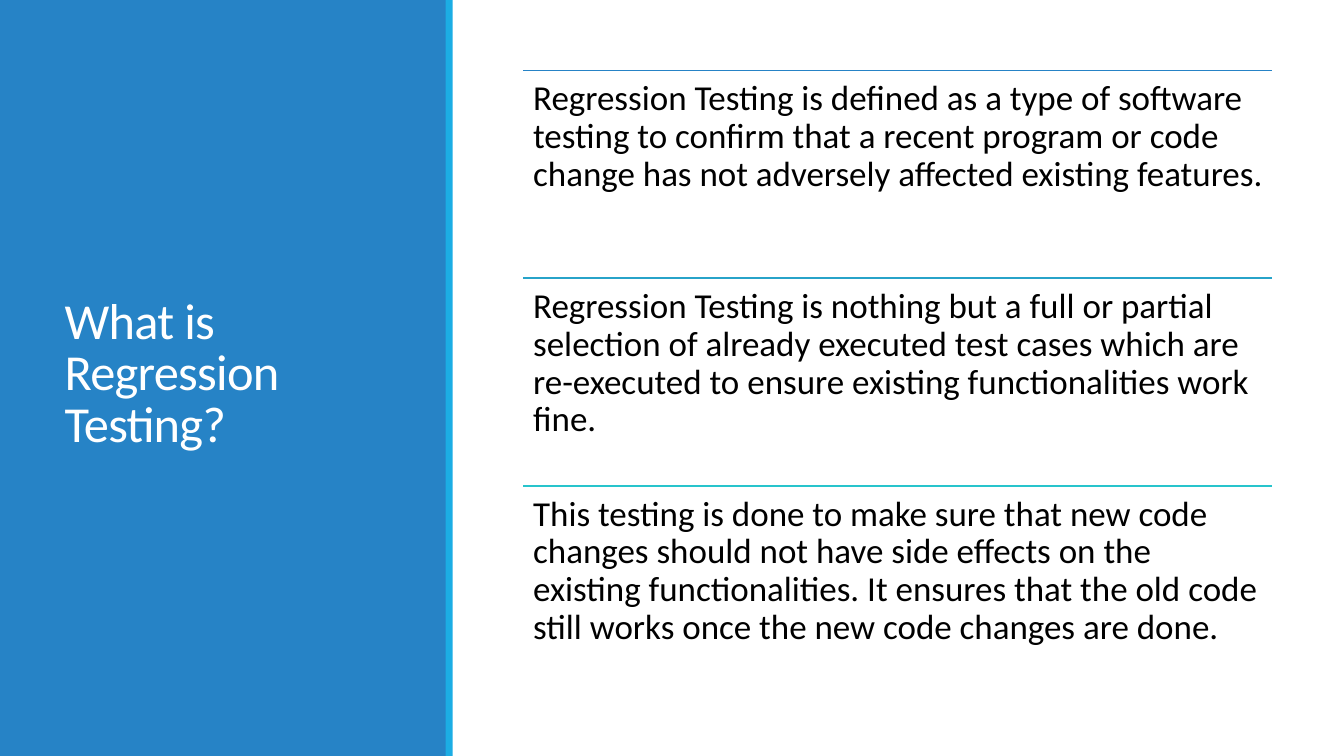
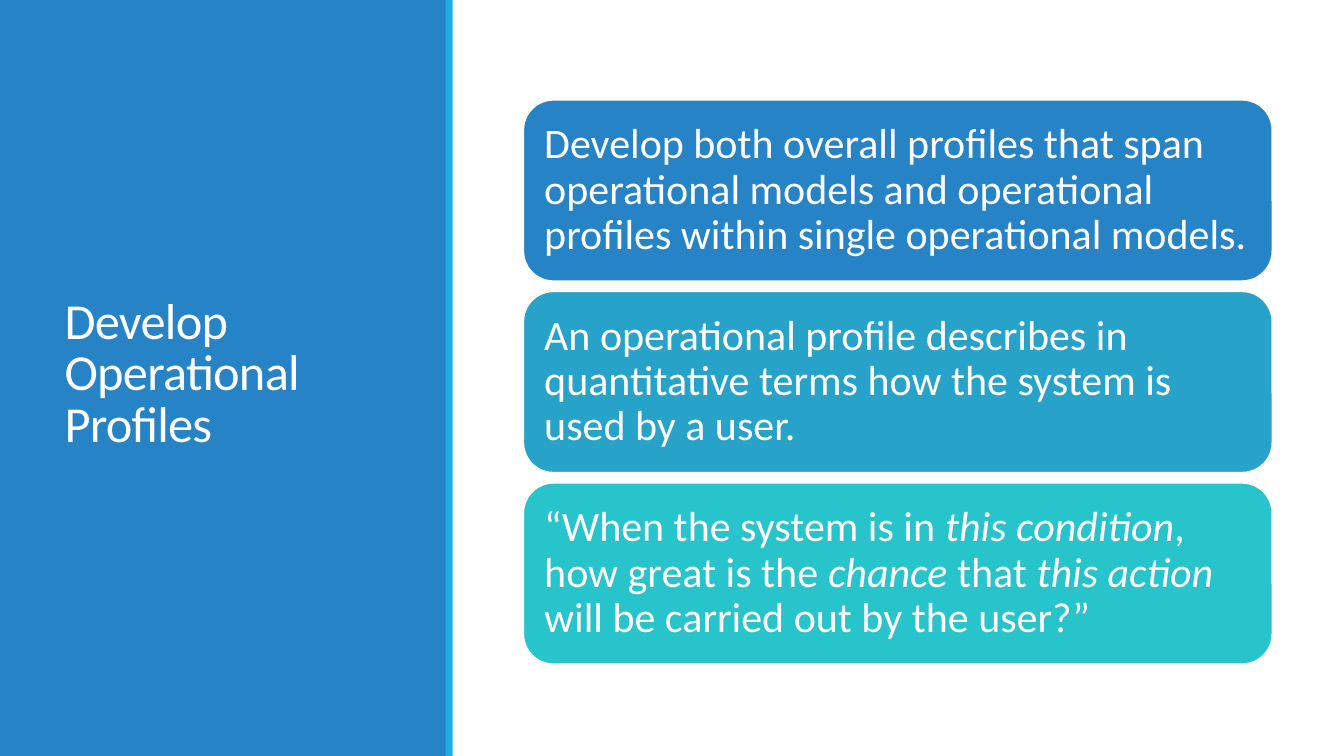
from dataclasses import dataclass

from lxml import etree
from pptx import Presentation
from pptx import util as u
from pptx.dml.color import RGBColor
from pptx.enum import shapes, text
from pptx.oxml.ns import qn


@dataclass(frozen=True)
class Theme:
    """Colours, font and type sizes of the deck."""
    font: str = "Calibri"
    panel: str = "2683C6"
    edge: str = "1CADE4"
    white: str = "FFFFFF"
    black: str = "000000"
    tints: tuple = ("2683C6", "27A3C9", "28C4CC")
    head: int = 36
    body: int = 25
    card: int = 30
    line: float = 1.25


class Deck:
    """Builds slides with a shared side panel and style."""

    LEFT, WIDTH = 5.19, 7.43

    def __init__(self, theme):
        """Start an empty wide deck."""
        self.theme = theme
        self.prs = Presentation()
        self.prs.slide_width = u.Inches(13.33)
        self.prs.slide_height = u.Inches(7.5)
        self.slide = None

    def start(self, title):
        """Add a slide with the side panel and its title."""
        t = self.theme
        self.slide = self.prs.slides.add_slide(self.prs.slide_layouts[5])
        self.block(0, 0, 4.43, 7.5, t.panel)
        edge = self.block(4.42, 0, 0.07, 7.5, t.edge)
        head = self.slide.shapes.title
        edge.element.addnext(head.element)
        head.left, head.top = u.Inches(0.54), u.Inches(0.57)
        head.width, head.height = u.Inches(3.37), u.Inches(6.31)
        self.label(head, title, t.head, t.white, 0.1, 0.85, True)
        for props in head.element.iter(qn("a:rPr")):
            props.set("spc", "-50")

    def block(self, x, y, w, h, fill, kind=shapes.MSO_SHAPE.RECTANGLE):
        """Add a flat filled shape without outline."""
        shape = self.slide.shapes.add_shape(
            kind, u.Inches(x), u.Inches(y), u.Inches(w), u.Inches(h))
        shape.shadow.inherit = False
        shape.fill.solid()
        shape.fill.fore_color.rgb = RGBColor.from_string(fill)
        shape.line.fill.background()
        return shape

    def label(self, shape, words, size, color, inset, pitch=0.9, middle=False):
        """Fill a shape with left-aligned text, italic between asterisks."""
        frame = shape.text_frame
        frame.word_wrap = True
        frame.auto_size = text.MSO_AUTO_SIZE.NONE
        anchor = text.MSO_ANCHOR
        frame.vertical_anchor = anchor.MIDDLE if middle else anchor.TOP
        frame.margin_left = frame.margin_right = u.Inches(inset)
        frame.margin_top = frame.margin_bottom = u.Inches(inset)
        para = frame.paragraphs[0]
        para.alignment = text.PP_ALIGN.LEFT
        para.line_spacing = pitch
        for i, part in enumerate(words.split("*")):
            run = para.add_run()
            run.text = part
            run.font.name = self.theme.font
            run.font.size = u.Pt(size)
            run.font.italic = i % 2 == 1
            run.font.color.rgb = RGBColor.from_string(color)

    def rule(self, y, color):
        """Draw a thin line across the content area."""
        line = self.slide.shapes.add_connector(
            shapes.MSO_CONNECTOR.STRAIGHT, u.Inches(self.LEFT), u.Inches(y),
            u.Inches(self.LEFT + self.WIDTH), u.Inches(y))
        line.line.color.rgb = RGBColor.from_string(color)
        line.line.width = u.Pt(self.theme.line)
        etree.SubElement(line.element.spPr, qn("a:effectLst"))

    def rows(self, items, top=0.7, step=2.06):
        """Stack texts, each below a coloured rule."""
        t = self.theme
        for i, (words, tint) in enumerate(zip(items, t.tints)):
            y = top + i * step
            self.rule(y, tint)
            box = self.slide.shapes.add_textbox(
                u.Inches(self.LEFT), u.Inches(y),
                u.Inches(self.WIDTH), u.Inches(step))
            self.label(box, words, t.body, t.black, 0.1)

    def cards(self, items, top=0.99, step=1.9, high=1.8):
        """Stack texts in rounded coloured cards."""
        t = self.theme
        for i, (words, tint) in enumerate(zip(items, t.tints)):
            card = self.block(self.LEFT, top + i * step, self.WIDTH, high,
                              tint, shapes.MSO_SHAPE.ROUNDED_RECTANGLE)
            card.line.color.rgb = RGBColor.from_string(t.white)
            card.line.width = u.Pt(t.line)
            self.label(card, words, t.card, t.white, 0.12, middle=True)


def main():
    """Build and save the deck."""
    deck = Deck(Theme())
    deck.start("What is Regression Testing?")
    deck.rows([
        "Regression Testing is defined as a type of software testing to "
        "confirm that a recent program or code change has not adversely "
        "affected existing features.",
        "Regression Testing is nothing but a full or partial selection of "
        "already executed test cases which are re-executed to ensure "
        "existing functionalities work fine.",
        "This testing is done to make sure that new code changes should not "
        "have side effects on the existing functionalities. It ensures that "
        "the old code still works once the new code changes are done.",
    ])
    deck.start("Develop Operational Profiles")
    deck.cards([
        "Develop both overall profiles that span operational models and "
        "operational profiles within single operational models.",
        "An operational profile describes in quantitative terms how the "
        "system is used by a user.",
        "“When the system is in *this condition*, how great is the *chance* "
        "that *this action* will be carried out by the user?”",
    ])
    deck.prs.save("out.pptx")


if __name__ == "__main__":
    main()
